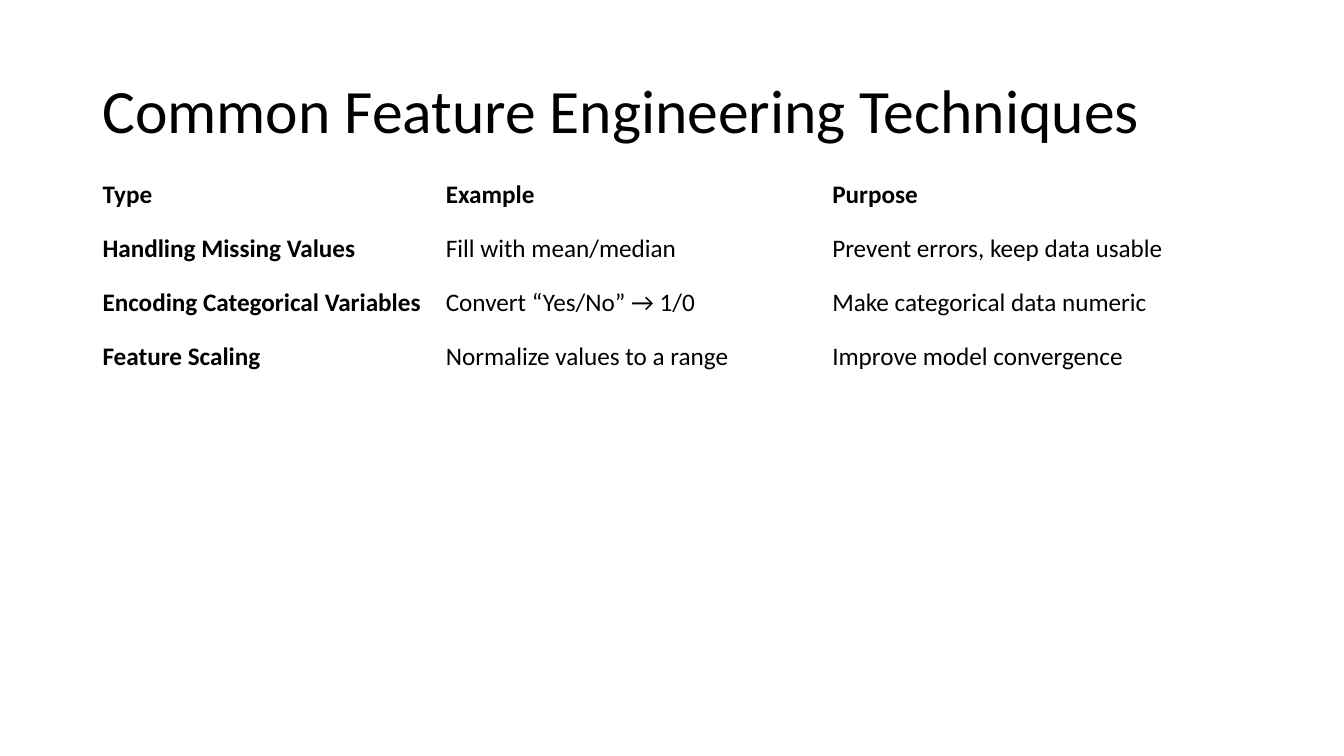
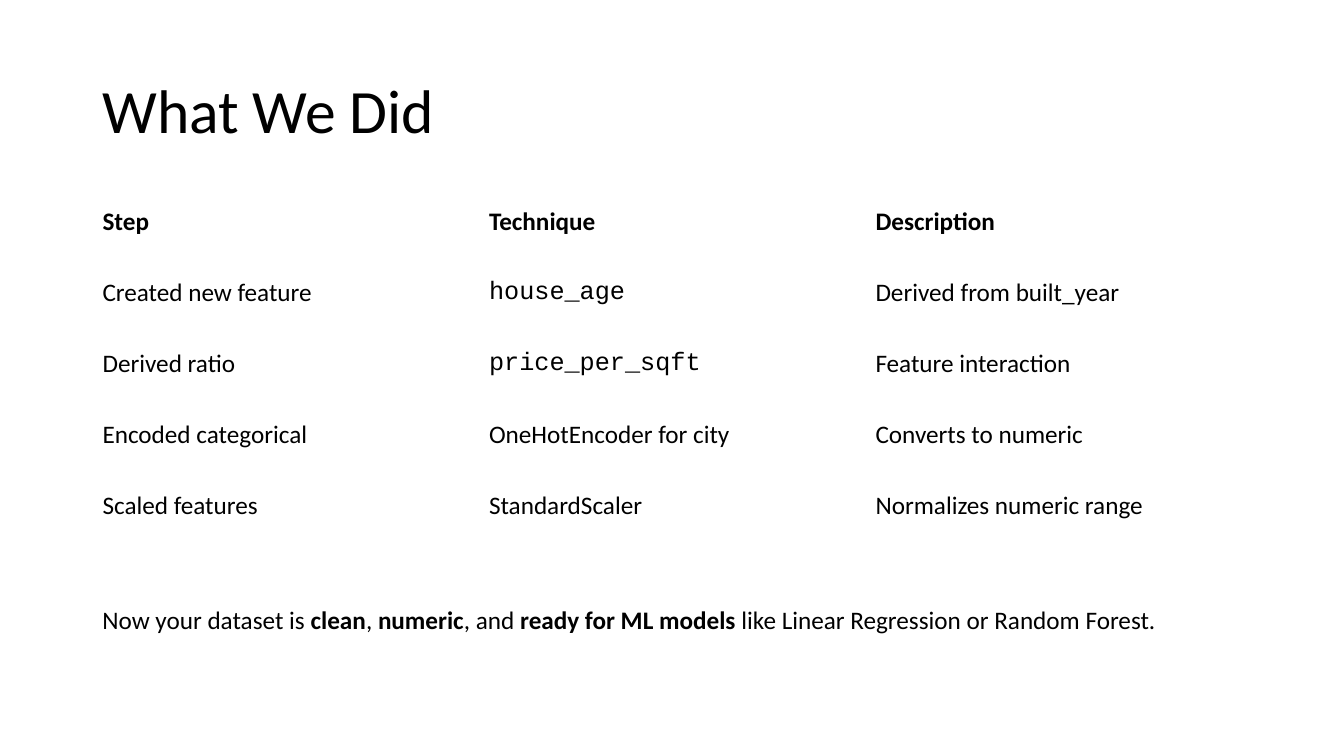
from pptx import Presentation
from pptx.dml.color import RGBColor
from pptx.enum import text
from pptx.util import Cm, Pt

BLACK = RGBColor(0x00, 0x00, 0x00)
WHITE = RGBColor(0xFF, 0xFF, 0xFF)
BODY_FONT = "Calibri"
CODE_FONT = "Courier New"
BODY_SIZE = Pt(18)
TITLE_SIZE = Pt(44)

LEFT = Cm(2.33)
CONTENT_WIDTH = Cm(29.21)
WIDE_COLUMN = Cm(9.74)

TECHNIQUES = [
    ("Type", "Example", "Purpose"),
    ("Handling Missing Values", "Fill with mean/median", "Prevent errors, keep data usable"),
    ("Encoding Categorical Variables", "Convert “Yes/No” → 1/0", "Make categorical data numeric"),
    ("Feature Scaling", "Normalize values to a range", "Improve model convergence"),
]
STEPS = [
    ("Step", "Technique", "Description"),
    ("Created new feature", "house_age", "Derived from built_year"),
    ("Derived ratio", "price_per_sqft", "Feature interaction"),
    ("Encoded categorical", "OneHotEncoder for city", "Converts to numeric"),
    ("Scaled features", "StandardScaler", "Normalizes numeric range"),
]
CODE_NAMES = {"house_age", "price_per_sqft"}
# Conclusion as (wording, bold) pieces
CONCLUSION = [
    ("Now your dataset is ", False),
    ("clean", True),
    (", ", False),
    ("numeric", True),
    (", and ", False),
    ("ready for ML models", True),
    (" like Linear Regression or Random Forest.", False),
]


def style_font(font, size=BODY_SIZE, name=BODY_FONT):
    font.size = size
    font.name = name
    font.color.rgb = BLACK


def add_text_box(slide, left, top, width, height):
    frame = slide.shapes.add_textbox(left, top, width, height).text_frame
    frame.word_wrap = True
    return frame


def add_titled_slide(presentation, title):
    slide = presentation.slides.add_slide(presentation.slide_layouts[6])
    slide.background.fill.solid()
    slide.background.fill.fore_color.rgb = WHITE
    frame = add_text_box(slide, LEFT, Cm(1.01), CONTENT_WIDTH, Cm(3.68))
    frame.vertical_anchor = text.MSO_ANCHOR.MIDDLE
    paragraph = frame.paragraphs[0]
    paragraph.text = title
    paragraph.line_spacing = 0.9
    style_font(paragraph.font, TITLE_SIZE)
    return slide


def add_plain_table(slide, rows, left, top, column_widths, row_height, bold_first_column=False):
    """Place an unfilled table with a bold header row."""
    table = slide.shapes.add_table(
        len(rows), len(column_widths), left, top, sum(column_widths), row_height * len(rows)
    ).table
    table.first_row = table.horz_banding = False
    for column, width in zip(table.columns, column_widths):
        column.width = width
    for row_index, row in enumerate(rows):
        for column_index, wording in enumerate(row):
            cell = table.cell(row_index, column_index)
            cell.fill.background()
            cell.vertical_anchor = text.MSO_ANCHOR.MIDDLE
            paragraph = cell.text_frame.paragraphs[0]
            paragraph.text = wording
            style_font(paragraph.font, name=CODE_FONT if wording in CODE_NAMES else BODY_FONT)
            paragraph.font.bold = row_index == 0 or (bold_first_column and column_index == 0)


def add_conclusion(slide, pieces, left, top, width, height):
    paragraph = add_text_box(slide, left, top, width, height).paragraphs[0]
    style_font(paragraph.font)
    for wording, bold in pieces:
        run = paragraph.add_run()
        run.text = wording
        run.font.bold = bold


def main():
    presentation = Presentation()
    presentation.slide_width = Cm(33.87)
    presentation.slide_height = Cm(19.05)

    # Techniques overview
    slide = add_titled_slide(presentation, "Common Feature Engineering Techniques")
    add_plain_table(slide, TECHNIQUES, LEFT, Cm(4.24), [Cm(8.65), WIDE_COLUMN, WIDE_COLUMN],
                    Cm(1.36), bold_first_column=True)

    # Summary of the steps
    slide = add_titled_slide(presentation, "What We Did")
    add_plain_table(slide, STEPS, LEFT, Cm(4.69), [WIDE_COLUMN] * 3, Cm(1.79))
    add_conclusion(slide, CONCLUSION, LEFT, Cm(15.11), Cm(27.76), Cm(1.03))

    presentation.save("out.pptx")


if __name__ == "__main__":
    main()
